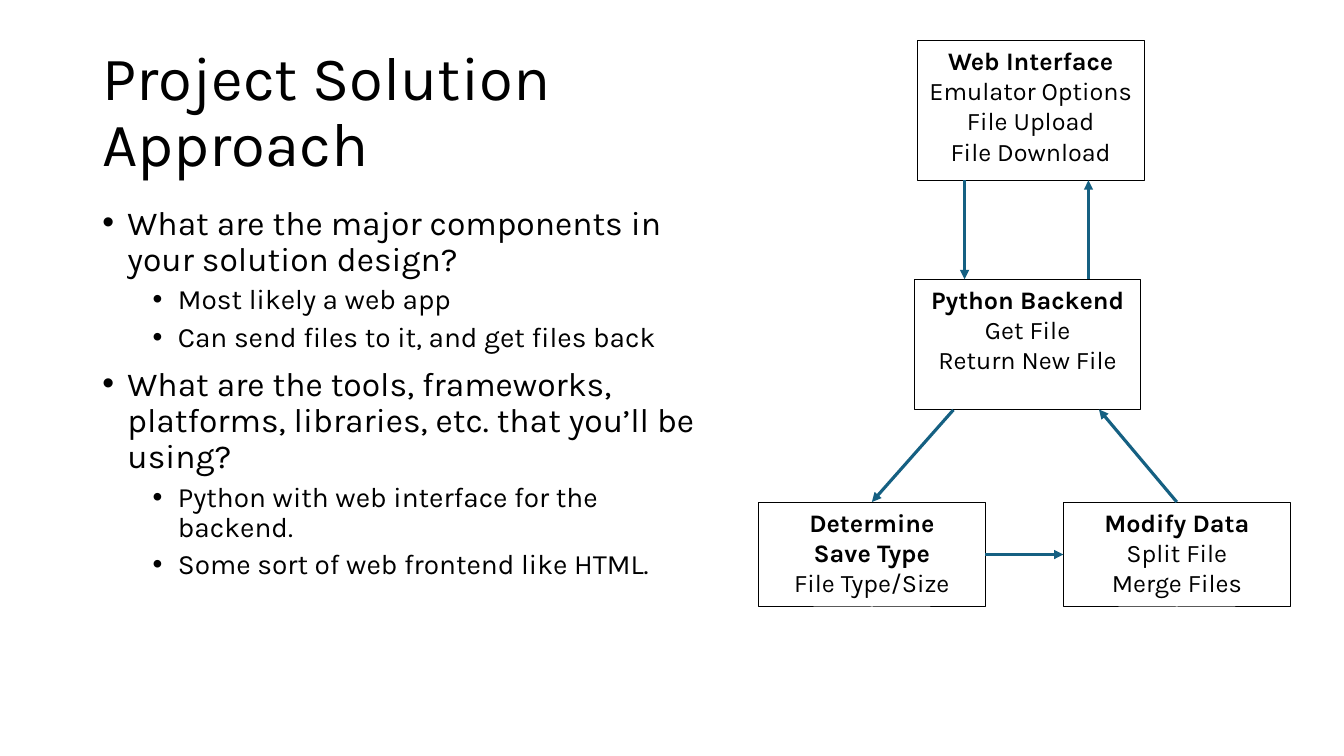
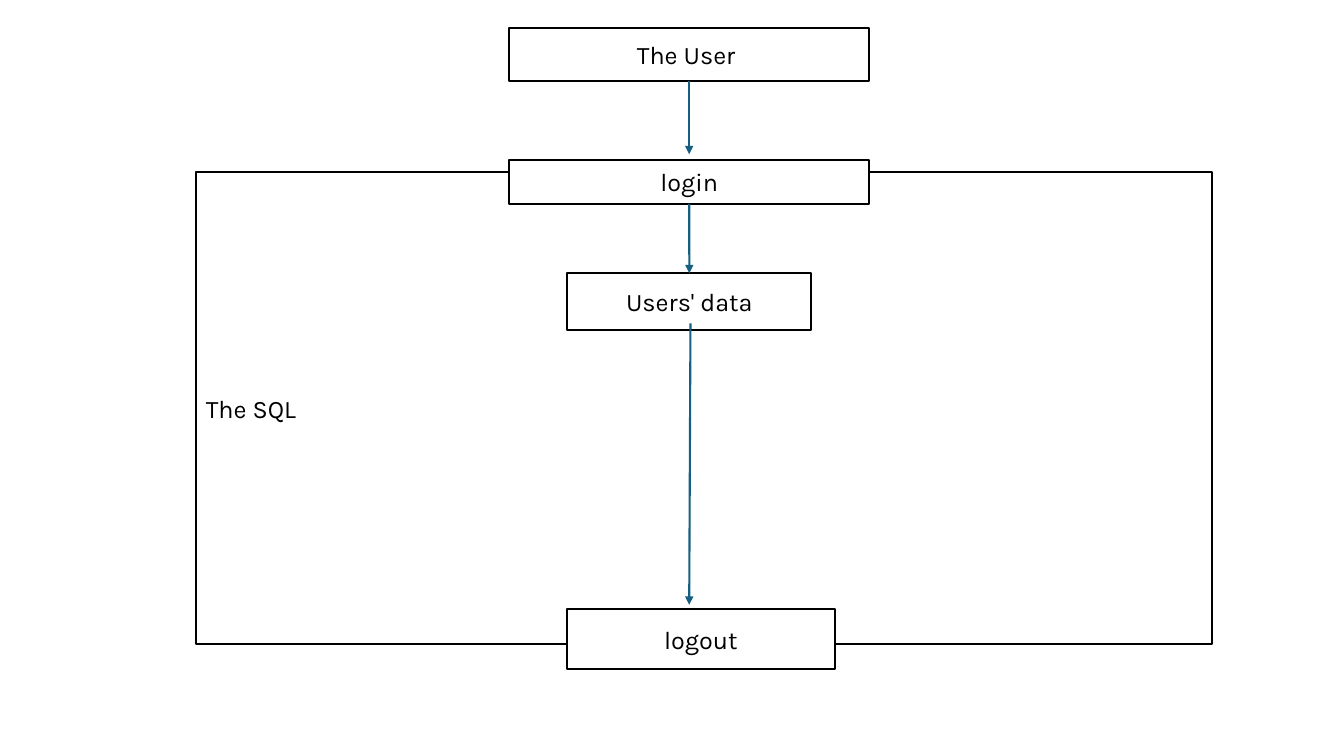
from lxml import etree
from pptx import Presentation
from pptx.dml.color import RGBColor
from pptx.enum.shapes import MSO_CONNECTOR, MSO_SHAPE
from pptx.enum.text import MSO_ANCHOR, PP_ALIGN
from pptx.oxml.ns import qn
from pptx.util import Pt

BLACK = RGBColor(0, 0, 0)
WHITE = RGBColor(255, 255, 255)
BLUE = RGBColor(0x15, 0x60, 0x82)
RECT = MSO_SHAPE.RECTANGLE
LINE = MSO_CONNECTOR.STRAIGHT
TOP, MIDDLE = MSO_ANCHOR.TOP, MSO_ANCHOR.MIDDLE
LEFT, CENTER = PP_ALIGN.LEFT, PP_ALIGN.CENTER
SITE_TOP, SITE_LEFT, SITE_BOTTOM, SITE_RIGHT = range(4)

# Paragraph format and text size of each list level
LEVELS = (
    {"size": 24, "left": 18, "before": 10},
    {"size": 20, "left": 54, "before": 5},
)


class Deck:
    """Holds the shared style and the current slide."""

    font = "Karla"

    def __init__(self, wide, high):
        self.prs = Presentation()
        self.prs.slide_width, self.prs.slide_height = Pt(wide), Pt(high)
        self.slide = None

    def page(self):
        self.slide = self.prs.slides.add_slide(self.prs.slide_layouts[6])

    def label(self, para, text, size, bold=False, **form):
        run = para.add_run()
        run.text = text
        style = {"name": self.font, "size": Pt(size), "bold": bold}
        for item, values in ((run.font, style), (para, form)):
            for key, value in values.items():
                setattr(item, key, value)
        run.font.color.rgb = BLACK

    def lines(self, frame, texts):
        """Yield one paragraph for each text."""
        for i, text in enumerate(texts):
            yield frame.add_paragraph() if i else frame.paragraphs[0], text

    def area(self, x, y, wide, high, anchor):
        box = self.slide.shapes.add_textbox(Pt(x), Pt(y), Pt(wide), Pt(high))
        box.text_frame.word_wrap = True
        box.text_frame.vertical_anchor = anchor
        return box.text_frame

    def title(self, text, x, y, wide, high):
        frame = self.area(x, y, wide, high, MIDDLE)
        self.label(frame.paragraphs[0], text, 44, line_spacing=0.9)

    def bullets(self, items, x, y, wide, high):
        frame = self.area(x, y, wide, high, TOP)
        for para, (level, text) in self.lines(frame, items):
            form = LEVELS[level]
            self.label(para, text, form["size"], level=level,
                       line_spacing=0.9, space_before=Pt(form["before"]))
            # Bullet with a hanging indent
            props = para._p.get_or_add_pPr()
            props.set("marL", str(Pt(form["left"])))
            props.set("indent", str(Pt(-18)))
            etree.SubElement(props, qn("a:buFont"), typeface="Arial")
            etree.SubElement(props, qn("a:buChar"), char="•")

    def box(self, texts, x, y, wide, high, heads=0, fill=WHITE,
            width=1.5, anchor=MIDDLE, align=CENTER):
        """Draw a box whose first lines, as many as heads, are bold."""
        shape = self.slide.shapes.add_shape(
            RECT, Pt(x), Pt(y), Pt(wide), Pt(high))
        shape.shadow.inherit = False
        if fill is None:
            shape.fill.background()
        else:
            shape.fill.solid()
            shape.fill.fore_color.rgb = fill
        shape.line.color.rgb = BLACK
        shape.line.width = Pt(width)
        frame = shape.text_frame
        frame.word_wrap = True
        frame.vertical_anchor = anchor
        for i, (para, text) in enumerate(self.lines(frame, texts)):
            self.label(para, text, 18, bold=i < heads, alignment=align)
        return shape

    def arrow(self, start, end, width, first=None, last=None):
        """Draw an arrow; first and last are (box, site) joins."""
        link = self.slide.shapes.add_connector(
            LINE, *(Pt(v) for v in (*start, *end)))
        link.line.color.rgb = BLUE
        link.line.width = Pt(width)
        if first:
            link.begin_connect(*first)
        if last:
            link.end_connect(*last)
        props = link._element.spPr
        etree.SubElement(props.find(qn("a:ln")), qn("a:tailEnd"),
                         type="triangle")
        etree.SubElement(props, qn("a:effectLst"))


def approach(deck):
    deck.page()
    deck.title("Project Solution Approach", 66, 28.75, 499, 104.4)
    deck.bullets((
        (0, "What are the major components in your solution design?"),
        (1, "Most likely a web app"),
        (1, "Can send files to it, and get files back"),
        (0, "What are the tools, frameworks, platforms, libraries, etc. "
            "that you’ll be using?"),
        (1, "Python with web interface for the backend."),
        (1, "Some sort of web frontend like HTML."),
    ), 66, 143.75, 443.5, 320)

    # Components
    wide, low = 162, 358.6
    plain = {"fill": None, "width": 0.75, "anchor": TOP}
    deck.box(("Web Interface", "Emulator Options", "File Upload",
              "File Download"), 655.2, 28.8, wide, 100, 1, **plain)
    modify = deck.box(("Modify Data", "Split File", "Merge Files"),
                      759.6, low, wide, 75, 1, **plain)
    deck.box(("Python Backend", "Get File", "Return New File"),
             653, 199.5, wide, 93, 1, **plain)
    save = deck.box(("Determine", "Save Type", "File Type/Size"),
                    541.8, low, wide, 75, 2, **plain)

    # Data flow
    deck.arrow((681, 292.8), (622.8, low), 2.25, last=(save, SITE_TOP))
    deck.arrow((840.6, low), (785, 292.5), 2.25, first=(modify, SITE_TOP))
    deck.arrow((703.8, 396), (759.6, 396), 2.25,
               (save, SITE_RIGHT), (modify, SITE_LEFT))
    deck.arrow((689, 128.8), (689, 199.5), 2.25)
    deck.arrow((777.5, 199.5), (777.5, 128.8), 2.25)


def session(deck):
    deck.page()
    deck.box(("The SQL",), 140, 123, 726, 337, align=LEFT)

    # Steps
    user = deck.box(("The User ",), 363.6, 19.8, 257.4, 37.8)
    login = deck.box(("login",), 363.6, 114, 257.4, 31.6)
    data = deck.box(("Users' data",), 405.2, 195.2, 174.4, 40.4)
    deck.box(("logout",), 405.2, 435, 191, 42.8)

    # Flow
    deck.arrow((492.3, 57.6), (492.3, 110.2), 1.5, first=(user, SITE_BOTTOM))
    deck.arrow((492.3, 145.6), (492.4, 195.2), 1.5,
               (login, SITE_BOTTOM), (data, SITE_TOP))
    deck.arrow((493.2, 231), (492.3, 432), 1.5)


def main():
    deck = Deck(960, 540)
    approach(deck)
    session(deck)
    deck.prs.save("out.pptx")


if __name__ == "__main__":
    main()
